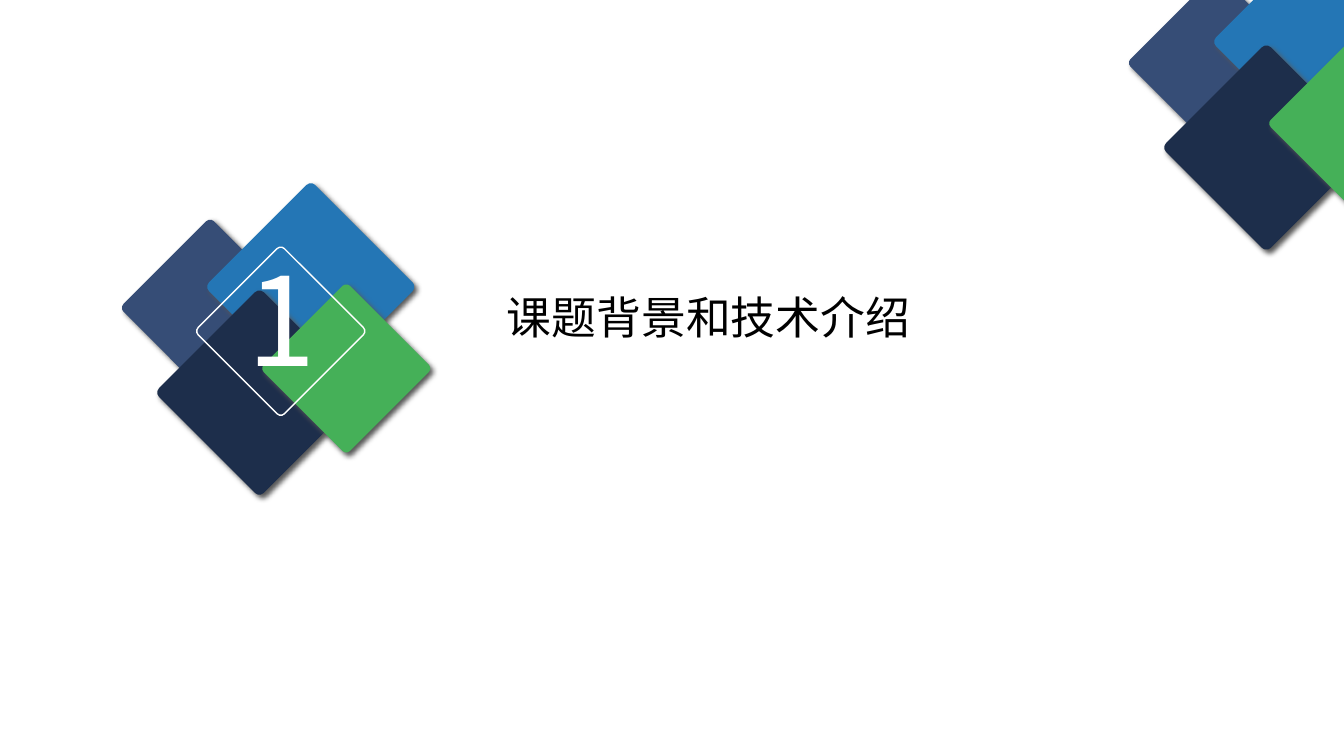
from lxml.etree import SubElement
from pptx import Presentation
from pptx.dml.color import RGBColor
from pptx.enum.shapes import MSO_SHAPE as Preset
from pptx.enum.text import PP_ALIGN as Align
from pptx.oxml.ns import qn
from pptx.util import Pt

FONT = "Noto Sans CJK SC"
BLACK = RGBColor(0x00, 0x00, 0x00)
WHITE = RGBColor(0xFF, 0xFF, 0xFF)
SLATE = RGBColor(0x36, 0x4D, 0x76)
BLUE = RGBColor(0x24, 0x76, 0xB5)
NAVY = RGBColor(0x1D, 0x2E, 0x4B)
GREEN = RGBColor(0x45, 0xB0, 0x58)
SHADOW = RGBColor(0x59, 0x59, 0x59)

# Offset from the cluster's corner, side length and colour, from back to front
DIAMONDS = [
    (0, 23, 91.4, SLATE),
    (64, 0, 107.3, BLUE),
    (28, 76.3, 105.8, NAVY),
    (99.4, 68.4, 87.1, GREEN),
]
CLUSTERS = [(823.7, -23.8), (104.4, 151.2)]


def add_text(text, left, top, width, height, size, color, align=Align.LEFT):
    """Add a one-line text box."""
    box = slide.shapes.add_textbox(Pt(left), Pt(top), Pt(width), Pt(height))
    box.text_frame.word_wrap = True
    paragraph = box.text_frame.paragraphs[0]
    paragraph.alignment = align
    paragraph.line_spacing = 0.9
    run = paragraph.add_run()
    run.text = text
    run.font.size = Pt(size)
    run.font.name = FONT
    run.font.color.rgb = color
    SubElement(run.font._element, qn("a:ea"), typeface=FONT)


def add_diamond(shapes, left, top, side, fill=None):
    """Add a rounded square on its corner: filled with a shadow, or outlined."""
    diamond = shapes.add_shape(
        Preset.ROUNDED_RECTANGLE, Pt(left), Pt(top), Pt(side), Pt(side))
    diamond.adjustments[0] = 0.042
    diamond.rotation = 315
    diamond.shadow.inherit = False
    if fill is None:
        diamond.fill.background()
        diamond.line.color.rgb = WHITE
        diamond.line.width = Pt(1)
        return
    diamond.fill.solid()
    diamond.fill.fore_color.rgb = fill
    diamond.line.fill.background()
    effects = diamond._element.spPr.find(qn("a:effectLst"))
    shadow = SubElement(
        effects, qn("a:outerShdw"), blurRad=str(Pt(4)), dist=str(Pt(3)),
        dir=str(45 * 60000), algn="tl", rotWithShape="0")
    SubElement(shadow, qn("a:srgbClr"), val=str(SHADOW))


presentation = Presentation()
presentation.slide_width = Pt(960)
presentation.slide_height = Pt(540)
slide = presentation.slides.add_slide(presentation.slide_layouts[6])

add_text("课题背景和技术介绍", 355, 208, 332, 46, size=32, color=BLACK)

for cluster_left, cluster_top in CLUSTERS:
    cluster = slide.shapes.add_group_shape()
    for left, top, side, color in DIAMONDS:
        add_diamond(cluster.shapes, cluster_left + left, cluster_top + top, side, color)

add_text("1", 167, 182, 68.4, 113.8, size=88, color=WHITE, align=Align.CENTER)
add_diamond(slide.shapes, 157, 193, 87.1)

presentation.save("out.pptx")
